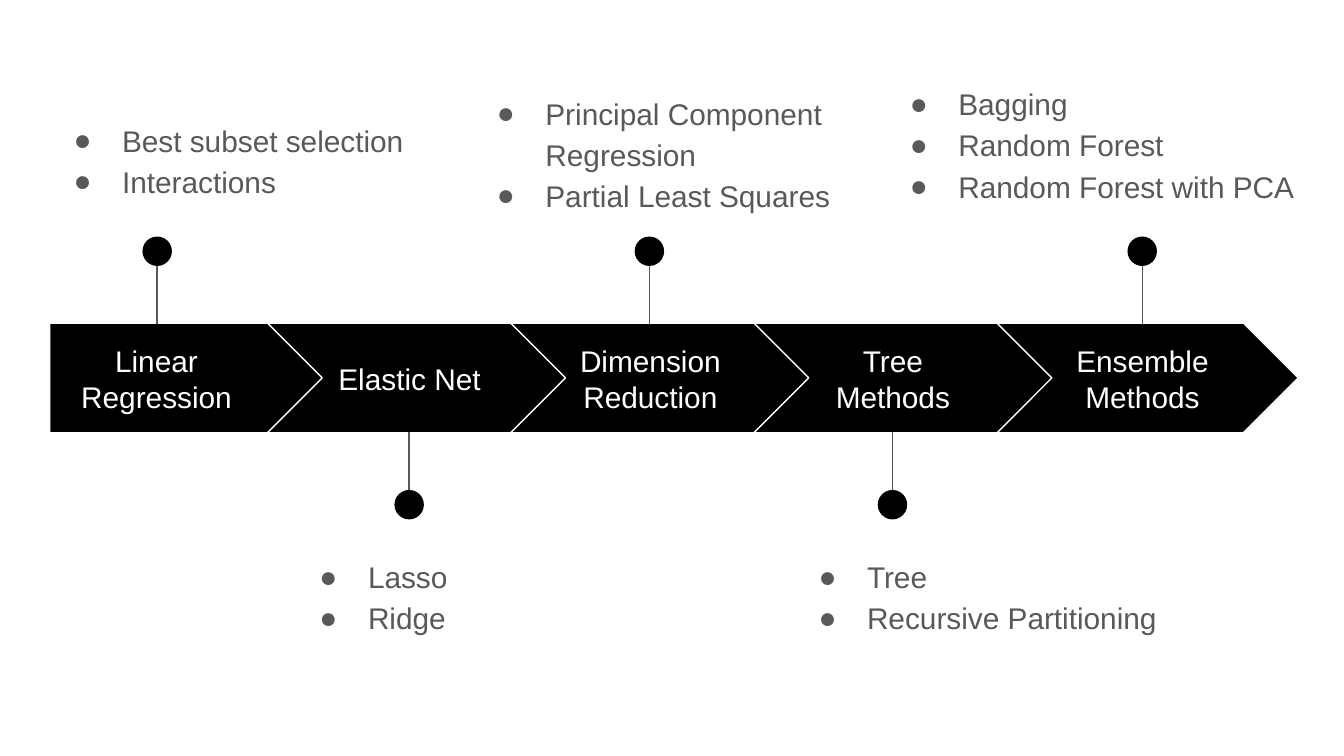
from lxml import etree
from pptx import Presentation
from pptx.dml.color import RGBColor
from pptx.enum.shapes import MSO_CONNECTOR, MSO_SHAPE
from pptx.enum.text import MSO_ANCHOR, PP_ALIGN
from pptx.oxml.ns import qn
from pptx.util import Pt

PENTAGON, CHEVRON, OVAL = MSO_SHAPE.PENTAGON, MSO_SHAPE.CHEVRON, MSO_SHAPE.OVAL
STRAIGHT = MSO_CONNECTOR.STRAIGHT
TOP, MIDDLE = MSO_ANCHOR.TOP, MSO_ANCHOR.MIDDLE
CENTER = PP_ALIGN.CENTER

BLACK = RGBColor(0x00, 0x00, 0x00)
WHITE = RGBColor(0xFF, 0xFF, 0xFF)
GRAY = RGBColor(0x59, 0x59, 0x59)

FONT = {"name": "Arial", "size": Pt(16)}
BAND_TOP, BAND_HEIGHT = 173.1, 58.7
FIRST_LEFT, FIRST_WIDTH = 26.6, 147.6
CHEVRON_LEFT, CHEVRON_STEP, CHEVRON_WIDTH = 143.3, 130.3, 161.3
LABEL_TOP, LABEL_HEIGHT = 184.3, 36.7
DOT = 15.8

# Label lines, label (left, width), pin x, pin above band, notes box, notes
STAGES = [
    (["Linear Regression"], (26.6, 114.5), 84.2, True,
     (22.3, 55.4, 202.3, 71.3), ["Best subset selection", "Interactions"]),
    (["Elastic Net"], (167.6, 103.7), 219.2, False,
     (154.1, 289.4, 139.7, 71.3), ["Lasso", "Ridge"]),
    (["Dimension Reduction"], (296.6, 103.7), 347.9, True,
     (249.1, 41, 210.2, 90.7),
     ["Principal Component Regression", "Partial Least Squares"]),
    (["Tree", "Methods"], (426.5, 103.7), 478.1, False,
     (421.4, 289.4, 210.2, 71.3), ["Tree", "Recursive Partitioning"]),
    (["Ensemble Methods"], (560.2, 103.7), 611.9, True,
     (470.3, 36, 239, 79.2),
     ["Bagging", "Random Forest", "Random Forest with PCA"]),
]


def add_filled(s, kind, box, line=None):
    sp = s.shapes.add_shape(kind, *map(Pt, box))
    sp.shadow.inherit = False
    sp.fill.solid()
    sp.fill.fore_color.rgb = BLACK
    if line is None:
        sp.line.fill.background()
    else:
        sp.line.color.rgb = line
        sp.line.width = Pt(0.75)


def add_text(s, box, lines, color, anchor):
    tf = s.shapes.add_textbox(*map(Pt, box)).text_frame
    frame = {"word_wrap": True, "vertical_anchor": anchor}
    for side in ("left", "right", "top", "bottom"):
        frame[f"margin_{side}"] = Pt(7.2)
    for name, value in frame.items():
        setattr(tf, name, value)
    tf.text = "\n".join(lines)
    for p in tf.paragraphs:
        for r in p.runs:
            r.font.color.rgb = color
            for name, value in FONT.items():
                setattr(r.font, name, value)
    return tf.paragraphs


def add_bullet(p):
    pPr = p._p.get_or_add_pPr()
    pPr.set("marL", str(Pt(36)))
    pPr.set("indent", str(Pt(-26)))
    color = etree.SubElement(pPr, qn("a:buClr"))
    etree.SubElement(color, qn("a:srgbClr"), val=str(GRAY))
    etree.SubElement(pPr, qn("a:buFont"), typeface="Arial")
    etree.SubElement(pPr, qn("a:buChar"), char="●")


def add_label(s, span, lines):
    left, width = span
    box = (left, LABEL_TOP, width, LABEL_HEIGHT)
    for p in add_text(s, box, lines, WHITE, MIDDLE):
        p.alignment = CENTER


def add_notes(s, box, lines):
    paragraphs = add_text(s, box, lines, GRAY, TOP)
    for p in paragraphs:
        add_bullet(p)
        p.line_spacing = 1.15
    paragraphs[-1].space_after = Pt(16)


def add_pin(s, x, above):
    start, end, dot_top = (129.6, 173.4, 126.7) if above else (275, 231.3, 262.5)
    stem = s.shapes.add_connector(STRAIGHT, Pt(x), Pt(start), Pt(x), Pt(end))
    stem.line.color.rgb = GRAY
    stem.line.width = Pt(0.75)
    etree.SubElement(stem._element.spPr, qn("a:effectLst"))
    add_filled(s, OVAL, (x - DOT / 2, dot_top, DOT, DOT))


def add_step(s, i):
    if i == 0:
        kind, left, width = PENTAGON, FIRST_LEFT, FIRST_WIDTH
    else:
        kind, width = CHEVRON, CHEVRON_WIDTH
        left = CHEVRON_LEFT + (i - 1) * CHEVRON_STEP
    add_filled(s, kind, (left, BAND_TOP, width, BAND_HEIGHT), WHITE)


def main():
    prs = Presentation()
    prs.slide_width, prs.slide_height = Pt(720), Pt(405)
    s = prs.slides.add_slide(prs.slide_layouts[6])

    # One band step, label, pin and bullet list per stage
    for i, (label, span, pin_x, above, box, notes) in enumerate(STAGES):
        add_step(s, i)
        add_label(s, span, label)
        add_pin(s, pin_x, above)
        add_notes(s, box, notes)

    prs.save("out.pptx")


if __name__ == "__main__":
    main()
